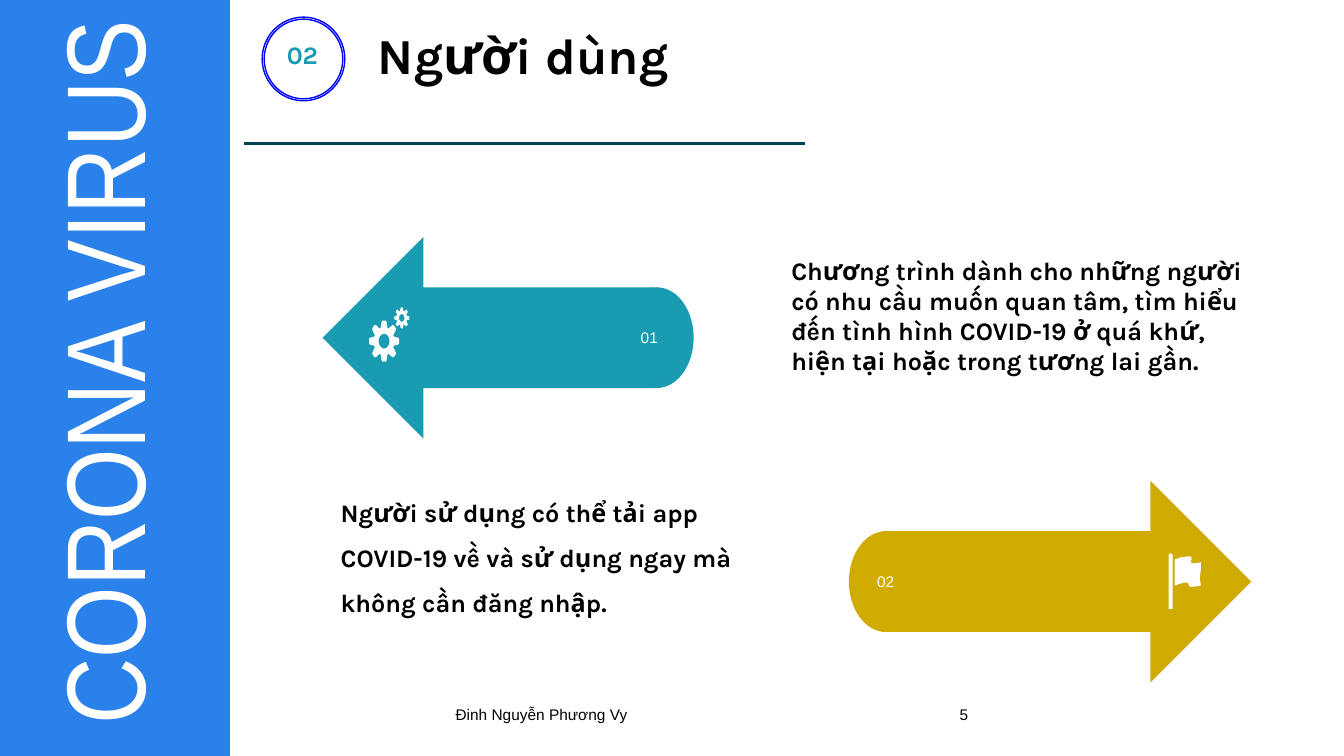
from math import cos, pi, sin

from lxml.etree import SubElement
from pptx import Presentation
from pptx.dml.color import RGBColor
from pptx.enum.shapes import MSO_CONNECTOR, MSO_SHAPE
from pptx.enum.text import MSO_ANCHOR, PP_ALIGN
from pptx.oxml.ns import qn
from pptx.util import Inches, Pt

COLORS = {
    "sidebar": "2A81EA",
    "teal": "199BB1",
    "gold": "D0AC00",
    "navy": "004053",
    "blue": "0000FF",
    "white": "FFFFFF",
    "black": "000000",
}


def color(name):
    return RGBColor.from_string(COLORS[name])


def style_paragraph(paragraph, text, size, font_name, color_name, bold, align):
    paragraph.text = text
    paragraph.alignment = align
    paragraph.font.size = Pt(size)
    paragraph.font.name = font_name
    paragraph.font.bold = bold
    paragraph.font.color.rgb = color(color_name)


def add_text(slide, box, text, size, font_name="Karla", color_name="black",
             bold=True, align=PP_ALIGN.LEFT):
    shape = slide.shapes.add_textbox(*map(Inches, box))
    shape.text_frame.word_wrap = True
    style_paragraph(shape.text_frame.paragraphs[0], text, size, font_name,
                    color_name, bold, align)
    return shape


def paint(shape, fill, line=None):
    shape.shadow.inherit = False
    shape.fill.solid()
    shape.fill.fore_color.rgb = color(fill)
    if line:
        shape.line.color.rgb = color(line)
        shape.line.width = Pt(1)
    else:
        shape.line.fill.background()


def add_preset(slide, preset, box, fill, line=None):
    shape = slide.shapes.add_shape(preset, *map(Inches, box))
    paint(shape, fill, line)
    return shape


def add_outline(slide, contours, fill):
    contours = [[(Inches(x), Inches(y)) for x, y in points] for points in contours]
    builder = slide.shapes.build_freeform(*contours[0][0], scale=1.0)
    builder.add_line_segments(contours[0][1:], close=True)
    for points in contours[1:]:
        builder.move_to(*points[0])
        builder.add_line_segments(points[1:], close=True)
    paint(builder.convert_to_shape(), fill)


def add_sidebar(slide, width, height):
    add_preset(slide, MSO_SHAPE.RECTANGLE, (0, 0, width, height), "sidebar")
    title = add_text(slide, (-3.38, 2.13, 8.77, 1.35), "CORONA VIRUS", 80,
                     "Arial Narrow", "white", False, PP_ALIGN.JUSTIFY)
    title.rotation = 270
    frame = title.text_frame
    frame.margin_left = frame.margin_right = frame.margin_top = frame.margin_bottom = 0


def add_header(slide, left, top):
    ring = add_preset(slide, MSO_SHAPE.DONUT, (left, top, 0.82, 0.83), "white", "blue")
    ring.adjustments[0] = 0.049
    add_preset(slide, MSO_SHAPE.OVAL, (left + 0.02, top + 0.02, 0.78, 0.79),
               "white", "blue")
    add_text(slide, (left + 0.1, top + 0.17, 0.6, 0.4), "02", 18,
             color_name="teal", align=PP_ALIGN.CENTER)
    add_text(slide, (left + 1.05, top + 0.02, 3.55, 0.71), "Người dùng", 36)
    rule_y = Inches(top + 1.25)
    rule = slide.shapes.add_connector(MSO_CONNECTOR.STRAIGHT, Inches(left - 0.18),
                                      rule_y, Inches(left + 5.38), rule_y)
    rule.line.color.rgb = color("navy")
    rule.line.width = Pt(2.25)
    SubElement(rule._element.spPr, qn("a:effectLst"))


def add_arrow(slide, left, top, width, cap_left, fill, label, align, rotation=0):
    arrow = add_preset(slide, MSO_SHAPE.RIGHT_ARROW, (left, top, width, 2), fill)
    arrow.rotation = rotation
    cap = add_preset(slide, MSO_SHAPE.OVAL, (cap_left, top + 0.5, 0.73, 1), fill)
    cap.text_frame.word_wrap = False
    cap.text_frame.vertical_anchor = MSO_ANCHOR.MIDDLE
    style_paragraph(cap.text_frame.paragraphs[0], label, 11, "Arial", "white",
                    False, align)


def add_gear(slide, left, top, width, height):
    def point(degrees, radius):
        angle = degrees * pi / 180
        return (left + width / 2 * (1 + radius * sin(angle)),
                top + height / 2 * (1 - radius * cos(angle)))

    tooth = [(-19, 0.68), (-10, 0.95), (-6, 1), (6, 1), (10, 0.95), (19, 0.68)]
    rim = [point(45 * index + offset, radius)
           for index in range(8) for offset, radius in tooth]
    hole = [point(-15 * index, 0.36) for index in range(24)]
    add_outline(slide, [rim, hole], "white")


def add_flag(slide, left, top):
    cloth = [(0.06, 0.06), (0.12, 0.04), (0.19, 0.03), (0.22, 0.03), (0.23, 0.05),
             (0.22, 0.09), (0.25, 0.1), (0.32, 0.09), (0.32, 0.17), (0.31, 0.24),
             (0.32, 0.32), (0.25, 0.33), (0.21, 0.33), (0.2, 0.31), (0.19, 0.29),
             (0.15, 0.29), (0.09, 0.31), (0.06, 0.32)]
    add_outline(slide, [[(left + x, top + y) for x, y in cloth]], "white")
    pole = add_preset(slide, MSO_SHAPE.ROUND_2_SAME_RECTANGLE,
                      (left, top, 0.04, 0.55), "white")
    pole.adjustments[0] = 0.5


def add_footer(slide, top):
    for left, width, text in [(4.42, 4.5, "Đinh Nguyễn Phương Vy"), (9.42, 3, "5")]:
        add_text(slide, (left, top, width, 0.4), text, 11, "Arial", bold=False)


def main():
    presentation = Presentation()
    presentation.slide_width = Inches(13.33)
    presentation.slide_height = Inches(7.5)
    slide = presentation.slides.add_slide(presentation.slide_layouts[6])

    add_sidebar(slide, 2.28, 7.5)
    add_footer(slide, 6.95)
    add_header(slide, 2.6, 0.17)
    add_arrow(slide, 3.2, 2.35, 3.29, 6.15, "teal", "01", PP_ALIGN.LEFT, 180)
    add_arrow(slide, 8.75, 4.77, 3.66, 8.42, "gold", "02", PP_ALIGN.CENTER)
    add_gear(slide, 3.91, 3.05, 0.15, 0.21)
    add_gear(slide, 3.66, 3.18, 0.3, 0.41)
    add_flag(slide, 11.59, 5.49)
    add_text(slide, (7.75, 2.48, 4.76, 1.62),
             "Chương trình dành cho những người có nhu cầu muốn quan tâm, "
             "tìm hiểu đến tình hình COVID-19 ở quá khứ, hiện tại hoặc "
             "trong tương lai gần.", 18)
    usage = add_text(slide, (3.28, 4.73, 4.14, 1.4),
                     "Người sử dụng có thể tải app COVID-19 về và sử dụng "
                     "ngay mà không cần đăng nhập.", 18)
    usage.text_frame.paragraphs[0].line_spacing = 1.5

    presentation.save("out.pptx")


if __name__ == "__main__":
    main()
